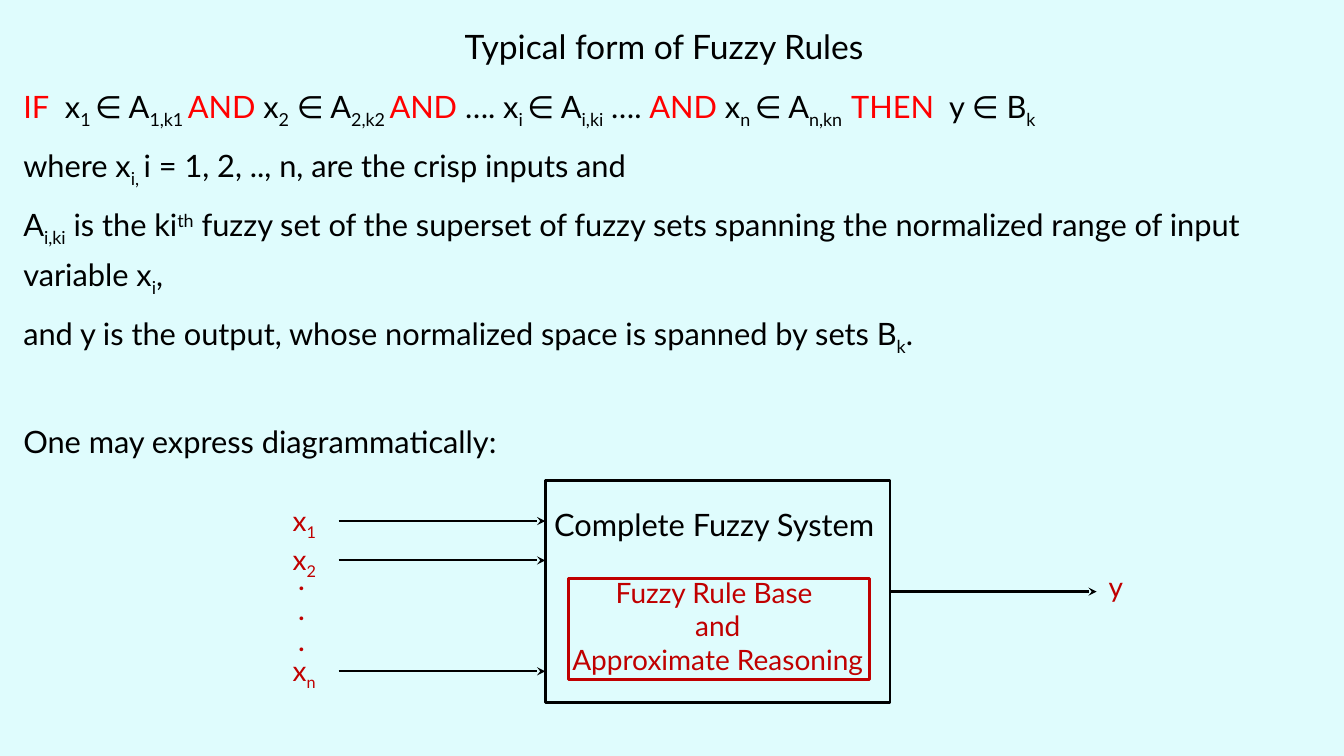
from lxml import etree
from pptx import Presentation
from pptx import util as u
from pptx.dml.color import RGBColor
from pptx.enum import shapes, text
from pptx.oxml.ns import qn

BLACK, RED, DARK_RED, PALE = "000000", "FF0000", "C00000", "DFFCFD"
FONT = "Lato"
PLAIN, SUB, SUPER, WORD = "plain", "sub", "super", "word"
BASELINES = {SUB: "-25000", SUPER: "30000"}

# Content: each line is a list of (words, style)
TITLE = "Typical form of Fuzzy Rules"
BODY = [
    [("IF", WORD), ("  x", PLAIN), ("1 ", SUB), ("∈ A", PLAIN), ("1,k1 ", SUB),
     ("AND", WORD), (" x", PLAIN), ("2", SUB), (" ∈ A", PLAIN), ("2,k2 ", SUB),
     ("AND", WORD), (" …. x", PLAIN), ("i ", SUB), ("∈ A", PLAIN), ("i,ki", SUB),
     (" …. ", PLAIN), ("AND ", WORD), ("x", PLAIN), ("n ", SUB), ("∈ A", PLAIN),
     ("n,kn  ", SUB), ("THEN", WORD), ("  y ∈ B", PLAIN), ("k", SUB)],
    [("where x", PLAIN), ("i, ", SUB),
     ("i = 1, 2, .., n, are the crisp inputs and", PLAIN)],
    [("A", PLAIN), ("i,ki", SUB), (" is the ki", PLAIN), ("th", SUPER),
     (" fuzzy set of the superset of fuzzy sets spanning the normalized range "
      "of input variable x", PLAIN), ("i", SUB), (",", PLAIN)],
    [("and y is the output, whose normalized space is spanned by sets B", PLAIN),
     ("k", SUB), (".", PLAIN)],
    [("One may express diagrammatically:", PLAIN)],
]
SYSTEM_NAME = "Complete Fuzzy System"
SYSTEM_PARTS = ["Fuzzy Rule Base ", "and", "Approximate Reasoning"]
INPUTS = [("1", 372.2), ("2", 400.3), ("n", 479.5)]  # subscript, arrow height

# Places in points: left, top, width, height
TITLE_AT = (324.7, 15.1, 311, 36)
BODY_AT = (9.4, 53.3, 941, 470.9)
SYSTEM_AT = (389.5, 343.4, 246.3, 158.4)
RULES_AT = (406.1, 413.3, 215.3, 72)
NAME_AT = (388.8, 357.8, 249.1, 33.8)
DOTS_AT = (205.9, 400.3, 19.4, 72.7)
INPUT_LEFT, ARROW_LENGTH = 202, 147.6


def color(value):
    return RGBColor.from_string(value)


def points(values):
    return [u.Pt(value) for value in values]


def add_runs(para, parts, size, ink, font=FONT, bold=None):
    for words, style in parts:
        span = para.add_run()
        span.text = words
        span.font.name, span.font.size, span.font.bold = font, u.Pt(size), bold
        span.font.color.rgb = color(RED if style == WORD else ink)
        if style in BASELINES:
            span.font._element.set("baseline", BASELINES[style])


def fill_frame(frame, lines, size, ink, **options):
    for index, parts in enumerate(lines):
        para = frame.paragraphs[0] if index == 0 else frame.add_paragraph()
        add_runs(para, parts, size, ink, **options)


def place(shape, at):
    shape.left, shape.top, shape.width, shape.height = points(at)


def add_label(page, at, lines, size, ink, **options):
    frame = page.shapes.add_textbox(*points(at)).text_frame
    frame.word_wrap = False
    frame.auto_size = text.MSO_AUTO_SIZE.SHAPE_TO_FIT_TEXT
    fill_frame(frame, lines, size, ink, **options)


def add_box(page, at, ink):
    box = page.shapes.add_shape(shapes.MSO_SHAPE.RECTANGLE, *points(at))
    box.shadow.inherit = False
    box.fill.background()
    box.line.color.rgb = color(ink)
    box.line.width = u.Pt(2)
    return box


def add_arrow(page, left, top, weight):
    arrow = page.shapes.add_connector(
        shapes.MSO_CONNECTOR.STRAIGHT, *points((left, top, left + ARROW_LENGTH, top)))
    arrow.line.color.rgb = color(BLACK)
    arrow.line.width = u.Pt(weight)
    etree.SubElement(arrow.line._get_or_add_ln(), qn("a:tailEnd"), type="stealth")
    etree.SubElement(arrow._element.spPr, qn("a:effectLst"))
    return arrow


def add_title(page):
    title = page.shapes.title
    place(title, TITLE_AT)
    frame = title.text_frame
    frame.word_wrap = False
    frame.auto_size = text.MSO_AUTO_SIZE.NONE
    frame.vertical_anchor = text.MSO_ANCHOR.TOP
    fill_frame(frame, [[(TITLE, PLAIN)]], 24, BLACK)
    frame.paragraphs[0].alignment = text.PP_ALIGN.LEFT


def add_body(page):
    body = page.placeholders[1]
    place(body, BODY_AT)
    frame = body.text_frame
    frame.word_wrap = True
    frame.auto_size = text.MSO_AUTO_SIZE.NONE
    frame.vertical_anchor = text.MSO_ANCHOR.TOP
    fill_frame(frame, BODY, 22, BLACK)
    for para in frame.paragraphs:
        para.line_spacing = 1.2
        para.space_before, para.space_after = u.Pt(0), u.Pt(6)
        settings = para._p.get_or_add_pPr()
        settings.set("marL", "0")
        settings.set("indent", "0")
        etree.SubElement(settings, qn("a:buNone"))
    frame.paragraphs[-1].space_before = u.Pt(36)  # gap above the diagram's lead-in


def add_diagram(page):
    # System box with its parts
    system = add_box(page, SYSTEM_AT, BLACK)
    frame = system.text_frame
    frame.word_wrap = True
    frame.vertical_anchor = text.MSO_ANCHOR.BOTTOM
    frame.margin_bottom = u.Pt(19)
    fill_frame(frame, [[(part, PLAIN)] for part in SYSTEM_PARTS], 20, DARK_RED)
    for para in frame.paragraphs:
        para.alignment = text.PP_ALIGN.CENTER
    add_box(page, RULES_AT, DARK_RED)
    add_label(page, NAME_AT, [[(SYSTEM_NAME, PLAIN)]], 22, BLACK)

    # Inputs
    left, top, width, height = SYSTEM_AT
    for mark, level in INPUTS:
        add_arrow(page, left - ARROW_LENGTH, level, 1.5)
        add_label(page, (INPUT_LEFT, level - 16, 31.7, 31.7),
                  [[("x", PLAIN), (mark, SUB)]], 20, DARK_RED)
    add_label(page, DOTS_AT, [[(".", PLAIN)]] * 3, 18, DARK_RED,
              font="Calibri", bold=True)

    # Output
    right, middle = left + width, top + height / 2
    add_arrow(page, right, middle, 1.75).begin_connect(system, 3)
    add_label(page, (right + ARROW_LENGTH + 1.5, middle - 19.4, 24.5, 31.7),
              [[("y", PLAIN)]], 20, DARK_RED)


def main():
    deck = Presentation()
    deck.slide_width, deck.slide_height = u.Pt(960), u.Pt(540)
    page = deck.slides.add_slide(deck.slide_layouts[1])
    page.background.fill.solid()
    page.background.fill.fore_color.rgb = color(PALE)
    add_title(page)
    add_body(page)
    add_diagram(page)
    deck.save("out.pptx")


if __name__ == "__main__":
    main()
